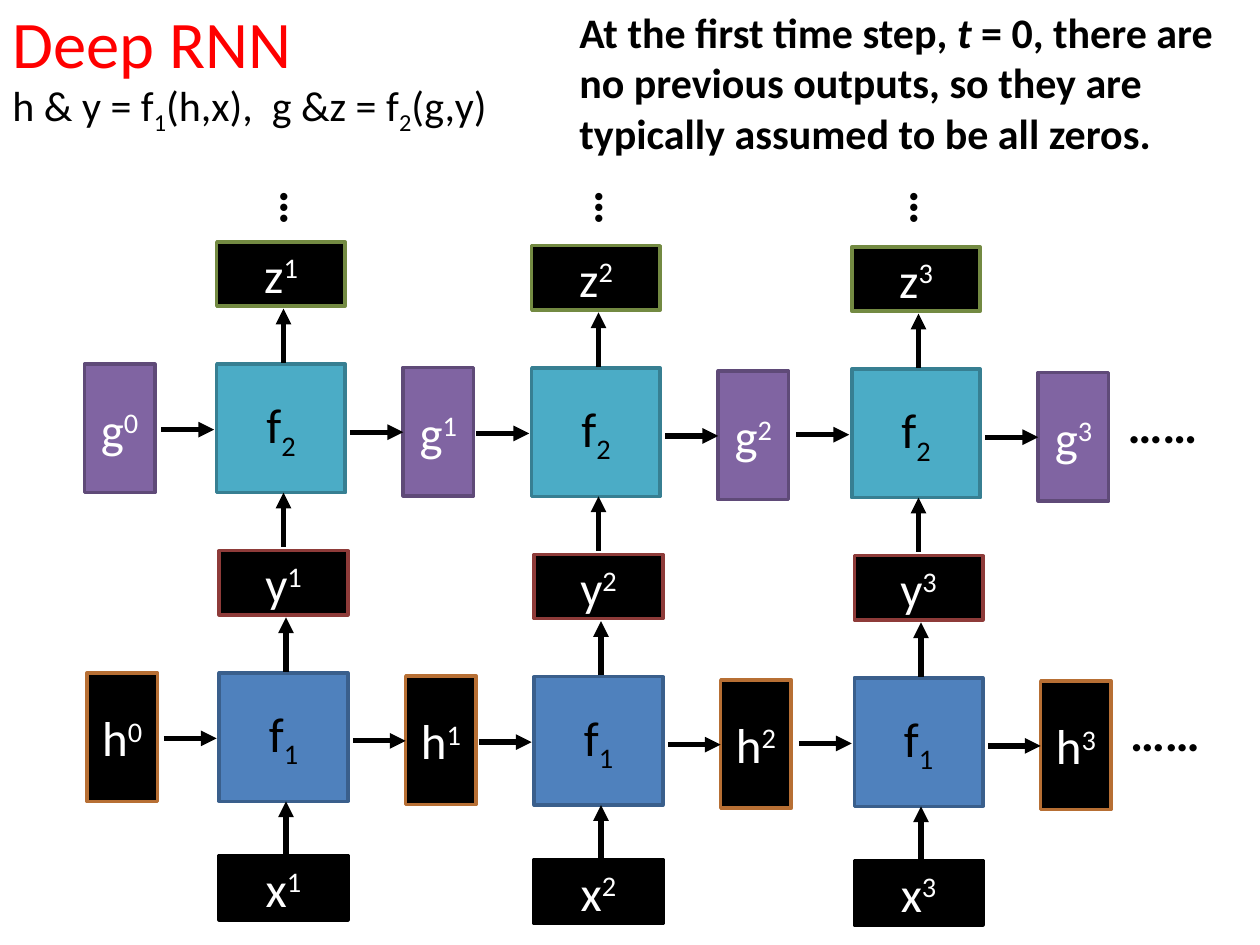
from dataclasses import dataclass, field
from typing import Any

from lxml import etree
from pptx import Presentation
from pptx.dml.color import RGBColor
from pptx.enum.shapes import MSO_CONNECTOR, MSO_SHAPE
from pptx.enum.text import MSO_ANCHOR, MSO_AUTO_SIZE, PP_ALIGN
from pptx.oxml.ns import qn
from pptx.util import Inches, Pt

RECTANGLE = MSO_SHAPE.RECTANGLE
STRAIGHT = MSO_CONNECTOR.STRAIGHT
MIDDLE, TOP = MSO_ANCHOR.MIDDLE, MSO_ANCHOR.TOP
CENTER, LEFT = PP_ALIGN.CENTER, PP_ALIGN.LEFT
GROW = MSO_AUTO_SIZE.SHAPE_TO_FIT_TEXT

# The slide is a fine grid; every length below counts its columns or rows.
COLUMNS, ROWS = 1000, 750
GRID = Inches(0.01)
SQUARE, HALF, NARROW = 102, 51, 56

COLORS = {
    "black": "000000", "white": "FFFFFF", "red": "FF0000",
    "blue": "4F81BD", "blue edge": "3A5F8C",
    "teal": "4BACC6", "teal edge": "377F92",
    "purple": "8064A2", "purple edge": "5F4A78",
    "orange edge": "B76F34", "brown edge": "8E3B39", "green edge": "738A42",
}
SUPERSCRIPT, SUBSCRIPT = 30, -25


@dataclass(frozen=True)
class Run:
    text: str
    baseline: int = 0
    font: dict[str, Any] = field(default_factory=dict)


@dataclass(frozen=True)
class Area:
    left: float
    top: float
    width: float
    height: float


@dataclass(frozen=True)
class Style:
    fill: str
    edge: str
    text: str = "white"


@dataclass(frozen=True)
class Layer:
    left: int
    top: int
    index: str
    state: str
    output: str
    function_style: Style
    state_style: Style
    output_style: Style


LAYERS = (
    Layer(174, 534, "1", "h", "y", Style("blue", "blue edge", "black"),
          Style("black", "orange edge"), Style("black", "brown edge")),
    Layer(172, 289, "2", "g", "z", Style("teal", "teal edge", "black"),
          Style("purple", "purple edge"), Style("black", "green edge")),
)
INPUT_STYLE = Style("black", "black")
STEPS = ((0, 0), (250, 3), (504, 4))  # column and row shift of each time step
# Arrows of one cell, counted from the corner of its function box
CELL_ARROWS = (
    (-44, 52, -2, 52),
    (106, 54, 148, 54),
    (53, -1, 53, -44),
    (53, 145, 53, 102),
)


def color(name: str) -> RGBColor:
    return RGBColor.from_string(COLORS[name])


def place(area: Area) -> list[int]:
    lengths = (area.left, area.top, area.width, area.height)
    return [round(length * GRID) for length in lengths]


def write(shape, runs: list[Run], size: int, text_color: str, align=LEFT,
          **frame_format) -> None:
    frame = shape.text_frame
    for name, value in frame_format.items():
        setattr(frame, name, value)
    paragraph = frame.paragraphs[0]
    paragraph.alignment = align
    for part in runs:
        run = paragraph.add_run()
        run.text = part.text
        font_format = {"name": "Calibri", "size": Pt(size), **part.font}
        for name, value in font_format.items():
            setattr(run.font, name, value)
        run.font.color.rgb = color(text_color)
        if part.baseline:
            run._r.get_or_add_rPr().set("baseline", str(part.baseline * 1000))


def add_text(slide, area: Area, runs: list[Run], size: int = 28,
             text_color: str = "black", rotation: int = 0,
             word_wrap: bool = True, **frame_format) -> None:
    box = slide.shapes.add_textbox(*place(area))
    box.rotation = rotation
    write(box, runs, size, text_color, word_wrap=word_wrap, **frame_format)


def add_node(slide, area: Area, letter: str, index: str, style: Style,
             baseline: int = SUPERSCRIPT) -> None:
    node = slide.shapes.add_shape(RECTANGLE, *place(area))
    node.shadow.inherit = False
    node.fill.solid()
    node.fill.fore_color.rgb = color(style.fill)
    node.line.color.rgb = color(style.edge)
    node.line.width = Pt(2)
    write(node, [Run(letter), Run(index, baseline)], 28, style.text, CENTER,
          vertical_anchor=MIDDLE, word_wrap=True)


def add_arrow(slide, *ends: int) -> None:
    arrow = slide.shapes.add_connector(STRAIGHT, *(end * GRID for end in ends))
    arrow.line.color.rgb = color("black")
    arrow.line.width = Pt(3)
    line = arrow.line._get_or_add_ln()
    etree.SubElement(line, qn("a:tailEnd"), type="triangle")
    etree.SubElement(arrow._element.spPr, qn("a:effectLst"))


def add_cell(slide, layer: Layer, step: int) -> None:
    """Draw one layer at one time step: function, new state, output, arrows."""
    shift_x, shift_y = STEPS[step]
    left, top = layer.left + shift_x, layer.top + shift_y
    index = str(step + 1)
    add_node(slide, Area(left, top, SQUARE, SQUARE), "f", layer.index,
             layer.function_style, SUBSCRIPT)
    add_node(slide, Area(left + 148, top + 2.5, NARROW, SQUARE), layer.state,
             index, layer.state_style)
    add_node(slide, Area(left, top - 97, SQUARE, HALF), layer.output, index,
             layer.output_style)
    for x1, y1, x2, y2 in CELL_ARROWS:
        add_arrow(slide, left + x1, top + y1, left + x2, top + y2)


def add_layer(slide, layer: Layer) -> None:
    add_node(slide, Area(layer.left - 105, layer.top, NARROW, SQUARE),
             layer.state, "0", layer.state_style)
    for step in range(len(STEPS)):
        add_cell(slide, layer, step)
    add_text(slide, Area(layer.left + 713, layer.top + 19, 102, 57),
             [Run("……", font={"bold": True})], auto_size=GROW)


def main() -> None:
    presentation = Presentation()
    presentation.slide_width = COLUMNS * GRID
    presentation.slide_height = ROWS * GRID
    slide = presentation.slides.add_slide(presentation.slide_layouts[6])

    add_text(slide, Area(0, -25, 325, 117), [Run("Deep RNN")], 38, "red",
             vertical_anchor=MIDDLE)
    for layer in LAYERS:
        add_layer(slide, layer)

    first = LAYERS[0]
    for step, (shift_x, shift_y) in enumerate(STEPS, start=1):
        area = Area(first.left + shift_x, first.top + 145 + shift_y,
                    SQUARE, HALF)
        add_node(slide, area, "x", str(step), INPUT_STYLE)
    for step in range(len(STEPS)):
        add_text(slide, Area(214 + 250 * step, 137, 48, 57),
                 [Run("…", font={"bold": True})], rotation=90, auto_size=GROW)

    formula = [Run("h & y = f"), Run("1", SUBSCRIPT), Run("(h,x),  g &z = f"),
               Run("2", SUBSCRIPT), Run("(g,y)")]
    add_text(slide, Area(0, 58, 419, 50), formula, 24, word_wrap=False,
             vertical_anchor=TOP, auto_size=GROW)
    bold = {"bold": True}
    note = [Run("At the first time step, ", font=bold),
            Run("t", font={"bold": True, "italic": True}),
            Run(" = 0, there are no previous outputs, so they are typically "
                "assumed to be all zeros.", font=bold)]
    add_text(slide, Area(450, 0, 550, 131), note, 24, auto_size=GROW)

    presentation.save("out.pptx")


if __name__ == "__main__":
    main()
